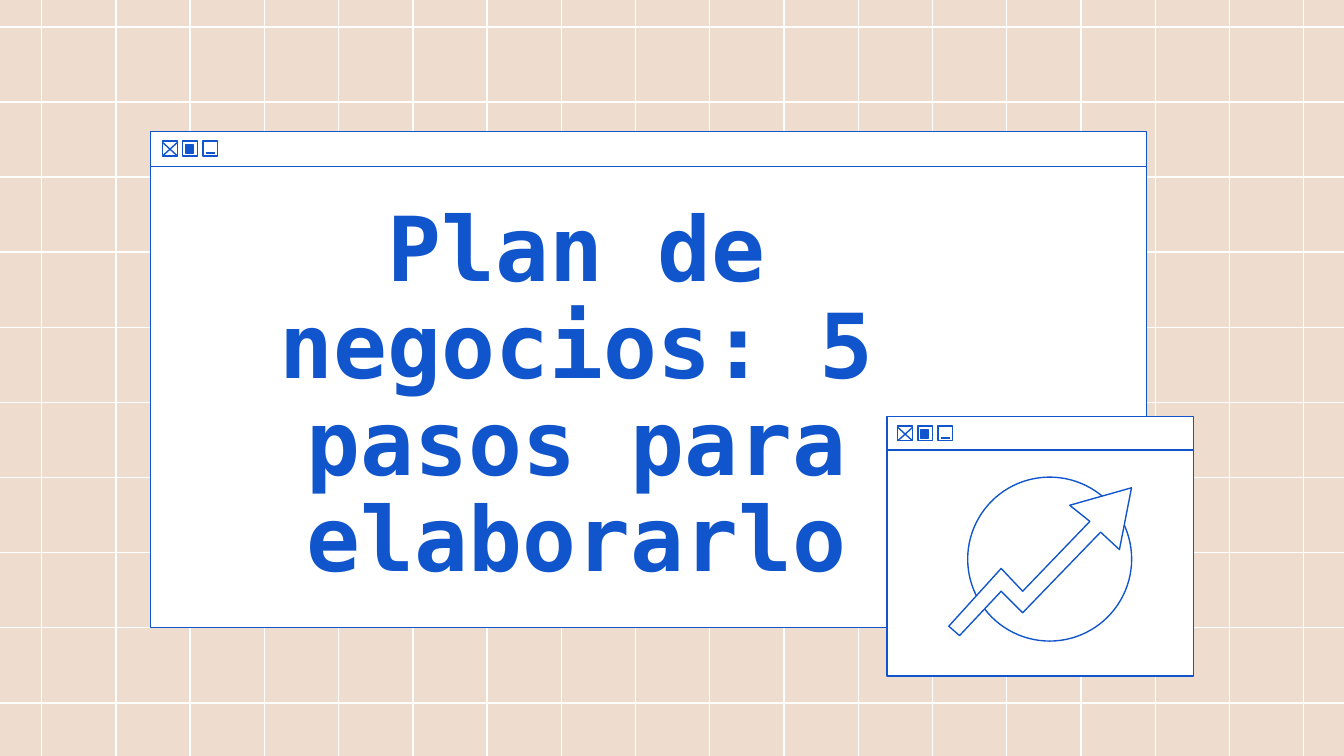
from lxml import etree
from pptx import Presentation
from pptx.dml.color import RGBColor
from pptx.enum import shapes, text
from pptx.oxml.ns import qn
from pptx.util import Inches, Pt

BEIGE = RGBColor(0xEE, 0xDC, 0xCE)
WHITE = RGBColor(0xFF, 0xFF, 0xFF)
BLUE = RGBColor(0x11, 0x55, 0xCC)
FONT = "DejaVu Sans Mono"
LINE_WIDTH = Pt(0.75)
WIDTH = 10
HEIGHT = WIDTH * 9 / 16

ARROW = [
    (8.42, 3.63), (7.96, 3.76), (8.11, 3.88), (7.61, 4.4), (7.45, 4.23),
    (7.06, 4.66), (7.14, 4.73), (7.45, 4.4), (7.61, 4.56), (8.19, 3.96),
    (8.33, 4.09),
]


def add_line(slide, x1, y1, x2, y2, color=BLUE):
    line = slide.shapes.add_connector(
        shapes.MSO_CONNECTOR.STRAIGHT,
        Inches(x1), Inches(y1), Inches(x2), Inches(y2))
    line.line.color.rgb = color
    line.line.width = LINE_WIDTH
    etree.SubElement(line._element.spPr, qn("a:effectLst"))


def style_outline(shape, fill=WHITE):
    """Give a shape the blue outline; a fill of None leaves it hollow."""
    shape.shadow.inherit = False
    if fill is None:
        shape.fill.background()
    else:
        shape.fill.solid()
        shape.fill.fore_color.rgb = fill
    shape.line.color.rgb = BLUE
    shape.line.width = LINE_WIDTH


def add_box(slide, left, top, width, height, fill=WHITE,
            kind=shapes.MSO_SHAPE.RECTANGLE):
    box = slide.shapes.add_shape(
        kind, Inches(left), Inches(top), Inches(width), Inches(height))
    style_outline(box, fill)


def add_grid(slide):
    for column in range(18):
        x = 0.31 + column * 9.39 / 17
        add_line(slide, x, -0.01, x, 5.63, WHITE)
    for row in range(10):
        y = 0.2 + row * 5.03 / 9
        add_line(slide, WIDTH, y, 0, y, WHITE)


def add_buttons(slide, left, top):
    """Draw the close, maximise and minimise buttons of a window."""
    size = 0.11
    close, maximise, minimise = (left + i * 0.15 for i in range(3))
    for x in (close, maximise, minimise):
        add_box(slide, x, top, size, size, None)
    add_line(slide, close, top + 0.01, close + size, top + size)
    add_line(slide, close + size, top + 0.01, close, top + size)
    add_box(slide, maximise + 0.02, top + 0.03, 0.06, 0.06, BLUE)
    add_line(slide, minimise + 0.02, top + 0.09, minimise + 0.09, top + 0.09)


def add_window(slide, left, top, width, bar_height, body_height, buttons_left):
    add_box(slide, left, top + bar_height, width, body_height)
    add_box(slide, left, top, width, bar_height)
    add_buttons(slide, buttons_left, top + 0.07)


def add_title(slide, words):
    box = slide.shapes.add_textbox(
        Inches(1.47), Inches(1.36), Inches(5.64), Inches(3.2))
    frame = box.text_frame
    frame.word_wrap = True
    frame.vertical_anchor = text.MSO_ANCHOR.MIDDLE
    frame.margin_left = frame.margin_right = Inches(0.1)
    frame.margin_top = frame.margin_bottom = Inches(0.1)
    title = frame.paragraphs[0]
    title.text = words
    title.alignment = text.PP_ALIGN.CENTER
    title.line_spacing = 0.9
    title.font.name = FONT
    title.font.size = Pt(48)
    title.font.bold = True
    title.font.color.rgb = BLUE


def add_growth_icon(slide):
    add_box(slide, 7.2, 3.55, 1.22, 1.22, kind=shapes.MSO_SHAPE.OVAL)
    start, *corners = [(Inches(x), Inches(y)) for x, y in ARROW]
    outline = slide.shapes.build_freeform(*start)
    outline.add_line_segments(corners, close=True)
    style_outline(outline.convert_to_shape())


def main():
    deck = Presentation()
    deck.slide_width, deck.slide_height = Inches(WIDTH), Inches(HEIGHT)
    slide = deck.slides.add_slide(deck.slide_layouts[6])
    slide.background.fill.solid()
    slide.background.fill.fore_color.rgb = BEIGE

    add_grid(slide)
    add_window(slide, 1.12, 0.98, 7.41, 0.26, 3.43, buttons_left=1.21)
    add_title(slide, "Plan de negocios: 5 pasos para elaborarlo")
    add_window(slide, 6.6, 3.1, 2.28, 0.25, 1.68, buttons_left=6.68)
    add_growth_icon(slide)
    deck.save("out.pptx")


if __name__ == "__main__":
    main()
